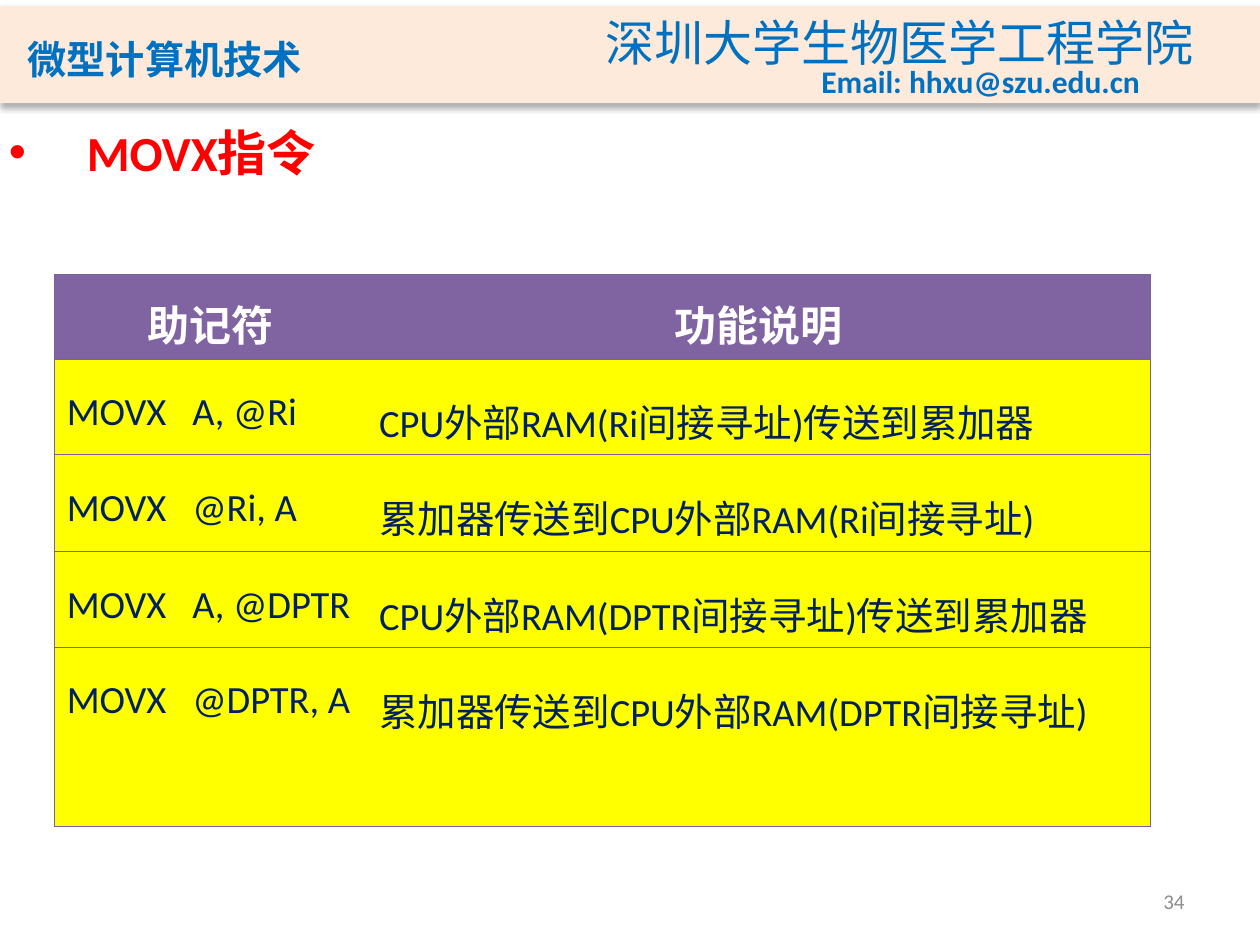
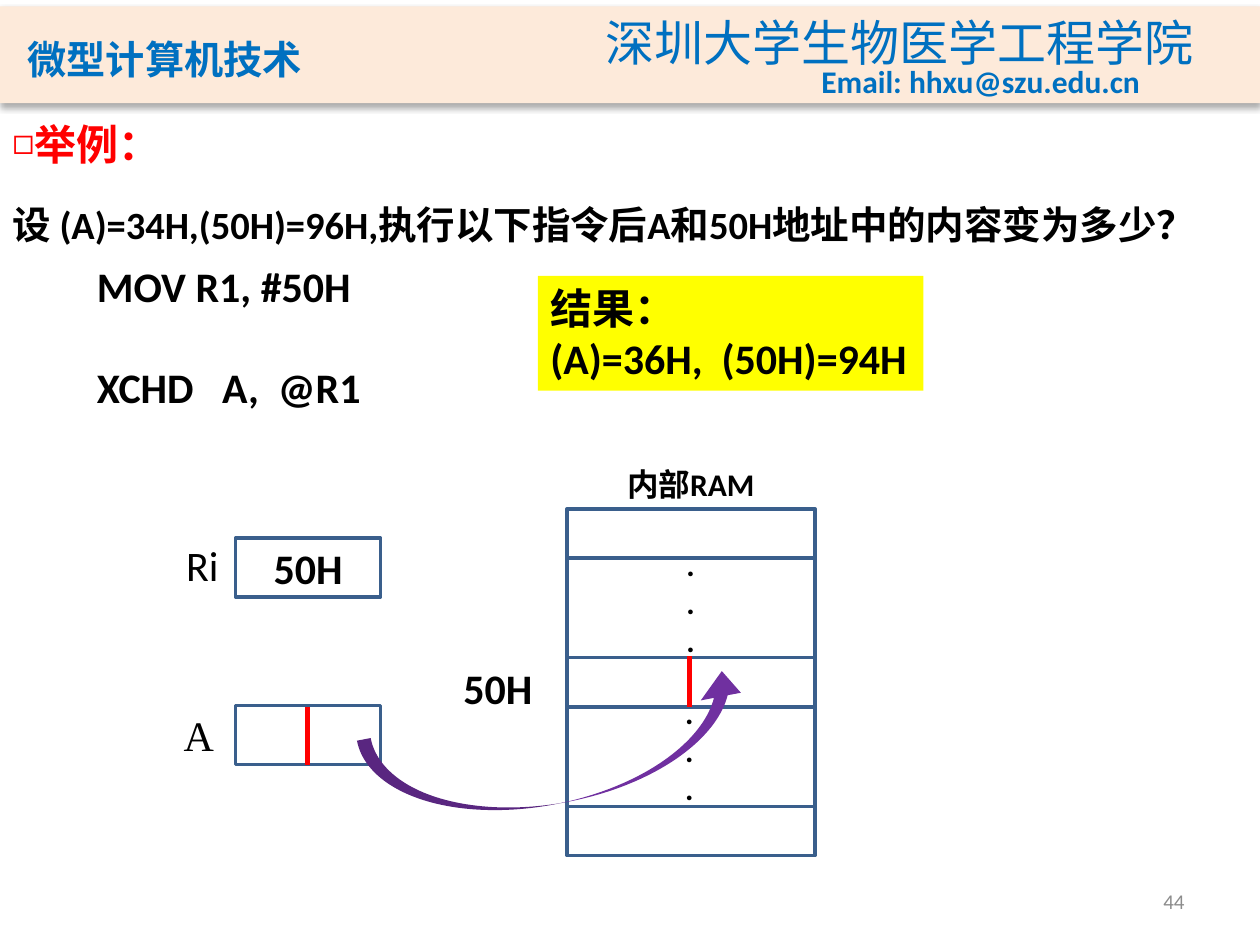
from lxml.etree import SubElement
from pptx import Presentation
from pptx.dml.color import RGBColor
from pptx.enum.shapes import MSO_CONNECTOR, MSO_SHAPE
from pptx.enum.text import MSO_ANCHOR, MSO_AUTO_SIZE, PP_ALIGN
from pptx.oxml.ns import qn
from pptx.util import Inches, Pt

BLUE, RED, BLACK, WHITE = "0070C0", "FF0000", "000000", "FFFFFF"
YELLOW, NAVY, PEACH, GREY = "FFFF00", "002060", "FDEADA", "8C8C8C"
VIOLET, EDGE, STEEL, PURPLE = "8064A2", "7D60A0", "3A5F8C", "7030A0"
CJK = "Noto Sans CJK SC"
NO_GRID = "{2D5ABB26-0587-4C30-8999-92F81FD0307C}"
ROWS = [
    ("助记符", "功能说明"),
    ("MOVX   A, @Ri", "CPU外部RAM(Ri间接寻址)传送到累加器"),
    ("MOVX   @Ri, A", "累加器传送到CPU外部RAM(Ri间接寻址)"),
    ("MOVX   A, @DPTR", "CPU外部RAM(DPTR间接寻址)传送到累加器"),
    ("MOVX   @DPTR, A", "累加器传送到CPU外部RAM(DPTR间接寻址)"),
]


def rgb(code):
    return RGBColor.from_string(code)


def inches(*sizes):
    return [Inches(size) for size in sizes]


def apply(target, values):
    for key, value in values.items():
        setattr(target, key, value)


# Text
def bullet(para, char, hang, scale):
    props = para._p.get_or_add_pPr()
    props.set("marL", str(Inches(hang)))
    props.set("indent", str(-Inches(hang)))
    SubElement(props, qn("a:buSzPct"), val=str(scale * 1000))
    SubElement(props, qn("a:buFont"), typeface="Arial")
    SubElement(props, qn("a:buChar"), char=char)


def write(frame, lines, size, color=BLACK, bold=True, face="Calibri",
          east=CJK, mark=None, hang=0, scale=100, **layout):
    """Fill a text frame, one paragraph a line; layout goes to each paragraph."""
    for num, line in enumerate(lines):
        para = frame.add_paragraph() if num else frame.paragraphs[0]
        if mark:
            bullet(para, mark, hang, scale)
        apply(para, layout)
        run = para.add_run()
        run.text = line
        apply(run.font, {"size": Pt(size), "bold": bold, "name": face})
        run.font.color.rgb = rgb(color)
        SubElement(run._r.get_or_add_rPr(), qn("a:ea"), typeface=east)


def label(slide, box, lines, size, wrap=False, anchor=MSO_ANCHOR.TOP, **fmt):
    shape = slide.shapes.add_textbox(*inches(*box))
    fit = MSO_AUTO_SIZE.NONE if wrap else MSO_AUTO_SIZE.SHAPE_TO_FIT_TEXT
    apply(shape.text_frame, {"word_wrap": wrap, "auto_size": fit,
                             "vertical_anchor": anchor})
    write(shape.text_frame, lines, size, **fmt)
    return shape


# Shapes and lines
def block(slide, box, fill=None, line=None, kind=MSO_SHAPE.RECTANGLE):
    shape = slide.shapes.add_shape(kind, *inches(*box))
    shape.shadow.inherit = False
    if fill:
        shape.fill.solid()
        shape.fill.fore_color.rgb = rgb(fill)
    else:
        shape.fill.background()
    if line:
        shape.line.color.rgb = rgb(line)
        shape.line.width = Pt(2)
    else:
        shape.line.fill.background()
    return shape


def split(slide, x, top, end):
    """Red bar that parts a byte into its two halves."""
    line = slide.shapes.add_connector(MSO_CONNECTOR.STRAIGHT,
                                      *inches(x, top, x, end))
    line.line.color.rgb = rgb(RED)
    line.line.width = Pt(3)
    SubElement(line._element.spPr, qn("a:effectLst"))


def drop(shape):
    """Soft shadow straight below a shape."""
    effects = shape._element.spPr.find(qn("a:effectLst"))
    outer = SubElement(effects, qn("a:outerShdw"), blurRad=str(Pt(3.5)),
                       dist=str(Pt(2.2)), dir="5400000", rotWithShape="0")
    tint = SubElement(outer, qn("a:srgbClr"), val=BLACK)
    SubElement(tint, qn("a:alpha"), val="32000")


# Table
def border(cell, sides):
    props = cell._tc.get_or_add_tcPr()
    for side in sides:
        line = SubElement(props, qn("a:ln" + side), w=str(Pt(0.75)))
        fill = SubElement(line, qn("a:solidFill"))
        SubElement(fill, qn("a:srgbClr"), val=EDGE)


def grid(slide, rows, left, top, widths, heights):
    frame = slide.shapes.add_table(
        len(rows), len(widths),
        *inches(left, top, sum(widths), sum(heights)))
    table = frame.table
    table._tbl.tblPr.find(qn("a:tableStyleId")).text = NO_GRID
    for col, width in zip(table.columns, widths):
        col.width = Inches(width)
    for row, height in zip(table.rows, heights):
        row.height = Inches(height)
    head = dict(size=24, color=WHITE, alignment=PP_ALIGN.CENTER,
                line_spacing=1.2)
    body = dict(size=22, color=NAVY, bold=False, line_spacing=1.5)
    for r, row in enumerate(rows):
        for c, text in enumerate(row):
            cell = table.cell(r, c)
            border(cell, ("R" if c else "L") + "TB")
            cell.fill.solid()
            cell.fill.fore_color.rgb = rgb(YELLOW if r else VIOLET)
            write(cell.text_frame, [text], **(body if r else head))
    return table


# Shared band and page number
def base(deck, layout, page):
    slide = deck.slides.add_slide(deck.slide_layouts.get_by_name(layout))
    drop(block(slide, (0, 0.05, 10, 0.77), PEACH))
    course = label(slide, (0.12, 0.16, 3.39, 0.56), ["微型计算机技术"], 28,
                   wrap=True, anchor=MSO_ANCHOR.BOTTOM, color=BLUE,
                   face="Noto Sans CJK JP", east="Noto Sans CJK JP")
    run = course.text_frame.paragraphs[0].runs[0]
    run._r.get_or_add_rPr().set("cap", "small")
    label(slide, (4.71, 0.05, 4.91, 0.57), ["深圳大学生物医学工程学院"], 28,
          color=BLUE, bold=False, face=CJK)
    label(slide, (6.42, 0.44, 2.75, 0.4), ["Email: hhxu@szu.edu.cn"], 18,
          color=BLUE)
    label(slide, (7.17, 6.95, 2.33, 0.4), [str(page)], 12, wrap=True,
          anchor=MSO_ANCHOR.MIDDLE, color=GREY, bold=False,
          alignment=PP_ALIGN.RIGHT)
    return slide


def movx(deck):
    slide = base(deck, "Title Only", 34)
    title = slide.shapes.title
    apply(title, dict(zip(("left", "top", "width", "height"),
                          inches(-0.03, 0.92, 9, 0.63))))
    apply(title.text_frame, {"vertical_anchor": MSO_ANCHOR.TOP,
                             "auto_size": MSO_AUTO_SIZE.NONE})
    write(title.text_frame, ["MOVX指令"], 28, color=RED, mark="•", hang=0.62,
          alignment=PP_ALIGN.LEFT)
    table = grid(slide, ROWS, 0.43, 2.18, (2.48, 6.22),
                 (0.67, 0.76, 0.77, 0.76, 1.42))
    # The longest one-line entry needs a narrower margin
    table.cell(3, 1).margin_right = Inches(0.04)


def xchd(deck):
    slide = base(deck, "Blank", 44)

    # Task, code and result
    label(slide, (0, 0.89, 1.3, 0.47), ["举例："], 24, wrap=True, color=RED,
          mark="◻", scale=85)
    label(slide, (0, 1.36, 9.6, 0.59),
          ["设 (A)=34H,(50H)=96H,执行以下指令后A和50H地址中的内容变为多少？"],
          22, wrap=True, line_spacing=1.5)
    result = label(slide, (4.27, 2.19, 3.06, 0.91),
                   ["结果：", "(A)=36H,  (50H)=94H"], 24)
    result.fill.solid()
    result.fill.fore_color.rgb = rgb(YELLOW)
    code = label(slide, (0.67, 2.02, 2.31, 1.31),
                 ["MOV R1, #50H", "XCHD   A,  @R1"], 24)
    code.text_frame.paragraphs[1].space_before = Pt(29)

    # Memory column: single cells around two double gaps
    top, cell, gap = 4.04, 0.39, 0.79
    for height in (cell, gap, cell, gap, cell):
        block(slide, (4.5, top, 1.97, height), line=STEEL)
        top += height
    for x, y in ((5.35, 4.28), (5.34, 5.45)):
        label(slide, (x, y, 0.27, 1.01), ["."] * 3, 18)
    split(slide, 5.47, 5.21, 5.61)
    label(slide, (4.88, 3.64, 1.34, 0.4), ["内部RAM"], 18)
    label(slide, (3.58, 5.21, 0.75, 0.5), ["50H"], 24)

    # Registers
    pointer, _ = [block(slide, (1.87, y, 1.15, 0.47), line=STEEL)
                  for y in (4.27, 5.6)]
    pointer.text_frame.vertical_anchor = MSO_ANCHOR.MIDDLE
    write(pointer.text_frame, ["50H"], 24, alignment=PP_ALIGN.CENTER)
    split(slide, 2.44, 5.61, 6.07)
    label(slide, (1.36, 5.58, 0.45, 0.5), ["A"], 24, bold=False,
          face="Times New Roman")
    label(slide, (1.38, 4.23, 0.46, 0.5), ["Ri"], 24, bold=False)

    # Swap arrow
    arrow = block(slide, (2.88, 5.58, 3.11, 0.79), PURPLE,
                  kind=MSO_SHAPE.CURVED_UP_ARROW)
    arrow.rotation = 349.2
    for num, value in enumerate((0.14, 0.41, 0.25)):
        arrow.adjustments[num] = value


def main():
    deck = Presentation()
    apply(deck, {"slide_width": Inches(10), "slide_height": Inches(7.5)})
    movx(deck)
    xchd(deck)
    deck.save("out.pptx")


if __name__ == "__main__":
    main()
